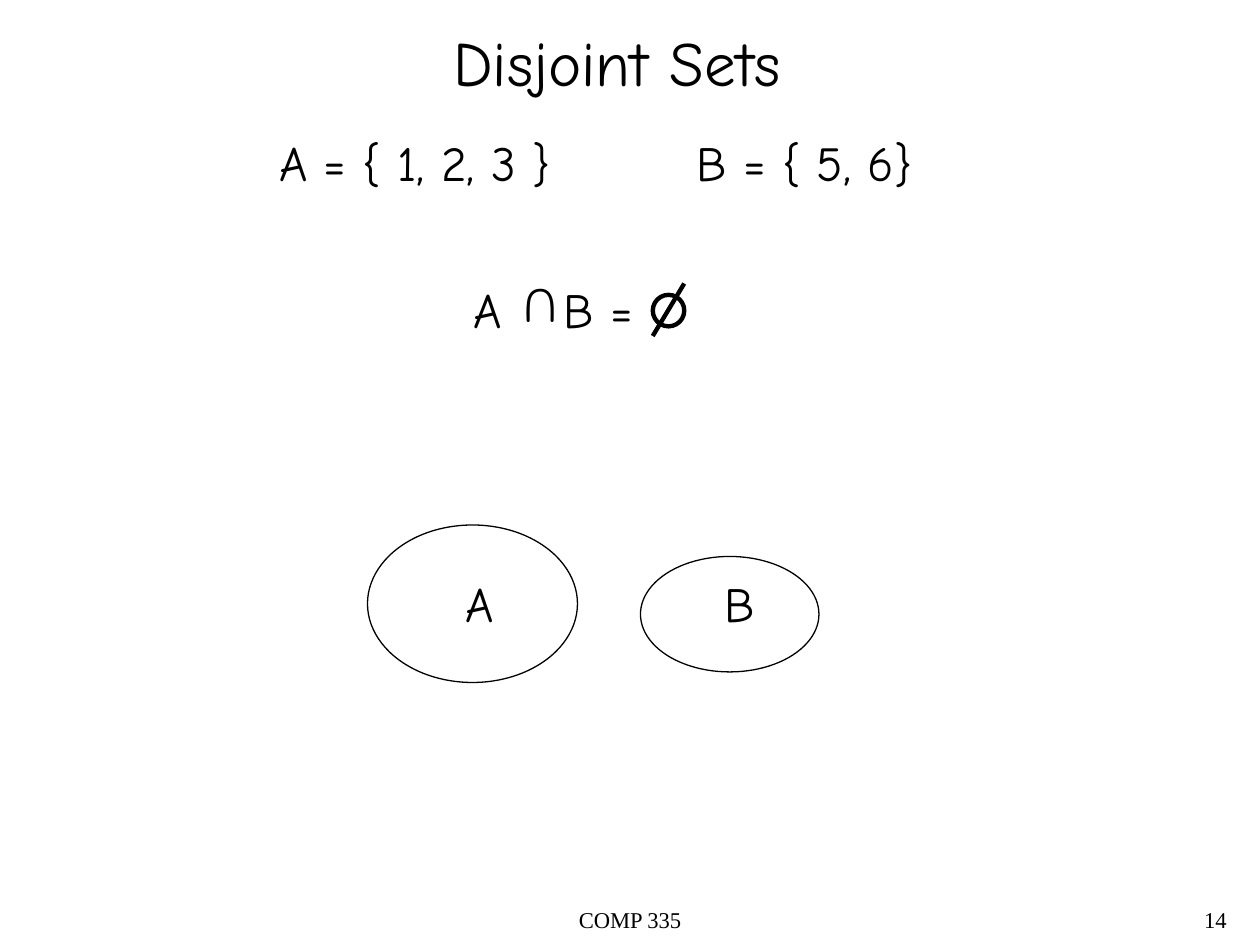
"""Build a slide that shows two disjoint sets and their empty intersection."""
import pptx
import pptx.util
import pptx.dml.color
import pptx.enum.shapes
import pptx.enum.text
import lxml.etree

Pt = pptx.util.Pt
ALIGN = pptx.enum.text.PP_ALIGN
KINDS = pptx.enum.shapes
COLORS = {"ink": "000000"}
INK = pptx.dml.color.RGBColor.from_string(COLORS["ink"])

STYLES = {
    "title": {"font": {"name": "Comic Neue", "size": Pt(36)}, "para": {"alignment": ALIGN.LEFT}},
    "body": {"font": {"name": "Comic Neue", "size": Pt(28)}, "para": {"alignment": ALIGN.LEFT}},
    "foot": {"font": {"name": "Times New Roman", "size": Pt(12.9)},
             "para": {"alignment": ALIGN.CENTER, "line_spacing": 0.9}},
    "page": {"font": {"name": "Times New Roman", "size": Pt(12.9)},
             "para": {"alignment": ALIGN.RIGHT, "line_spacing": 0.9}},
}
TEXTS = [
    ("COMP 335", "foot", (246, 516, 228, 24), {}),
    ("14", "page", (558, 516, 150, 24), {}),
    ("Disjoint Sets", "title", (252, 10, 204, 50), {}),
    ("A = { 1, 2, 3 }\tB = { 5, 6}", "body", (152.5, 72, 390, 41), {"tab": 238.5}),
    ("A\tB =", "body", (263.5, 156, 138, 41), {"tab": 51.5}),
    ("U", "body", (289.5, 156, 36, 41), {"turn": 180}),
    ("A", "body", (259, 324, 32, 41), {}),
    ("B", "body", (407, 324, 33, 41), {}),
]
OVALS = [
    ((373, 168.5, 18, 18), 2.5),
    ((210, 300, 120, 90), 0.75),
    ((366, 318, 102, 66), 0.75),
]
SLASH = (391, 162, 373, 192)


def points(nums):
    return [Pt(n) for n in nums]


def assign(item, values):
    for name, value in values.items():
        setattr(item, name, value)


def write(slide, text, style, box, tab=None, turn=0):
    shape = slide.shapes.add_textbox(*points(box))
    shape.rotation = turn
    frame = shape.text_frame
    frame.word_wrap = True
    para = frame.paragraphs[0]
    run = para.add_run()
    run.text = text
    assign(para, STYLES[style]["para"])
    assign(run.font, STYLES[style]["font"])
    run.font.color.rgb = INK
    if tab:
        space = "{http://schemas.openxmlformats.org/drawingml/2006/main}"
        stops = lxml.etree.SubElement(para._p.get_or_add_pPr(), space + "tabLst")
        lxml.etree.SubElement(stops, space + "tab", pos=str(Pt(tab)), algn="l")


def stroke(shape, width):
    shape.line.color.rgb = INK
    shape.line.width = Pt(width)


def main():
    deck = pptx.Presentation()
    assign(deck, {"slide_width": Pt(720), "slide_height": Pt(540)})
    slide = deck.slides.add_slide(deck.slide_layouts[6])
    for box, width in OVALS:
        oval = slide.shapes.add_shape(KINDS.MSO_SHAPE.OVAL, *points(box))
        oval.shadow.inherit = False
        oval.fill.background()
        stroke(oval, width)
    slash = slide.shapes.add_connector(KINDS.MSO_CONNECTOR.STRAIGHT, *points(SLASH))
    stroke(slash, 2.5)
    lxml.etree.SubElement(
        slash._element.spPr,
        "{http://schemas.openxmlformats.org/drawingml/2006/main}effectLst")
    for text, style, box, extra in TEXTS:
        write(slide, text, style, box, **extra)
    deck.save("out.pptx")


if __name__ == "__main__":
    main()
